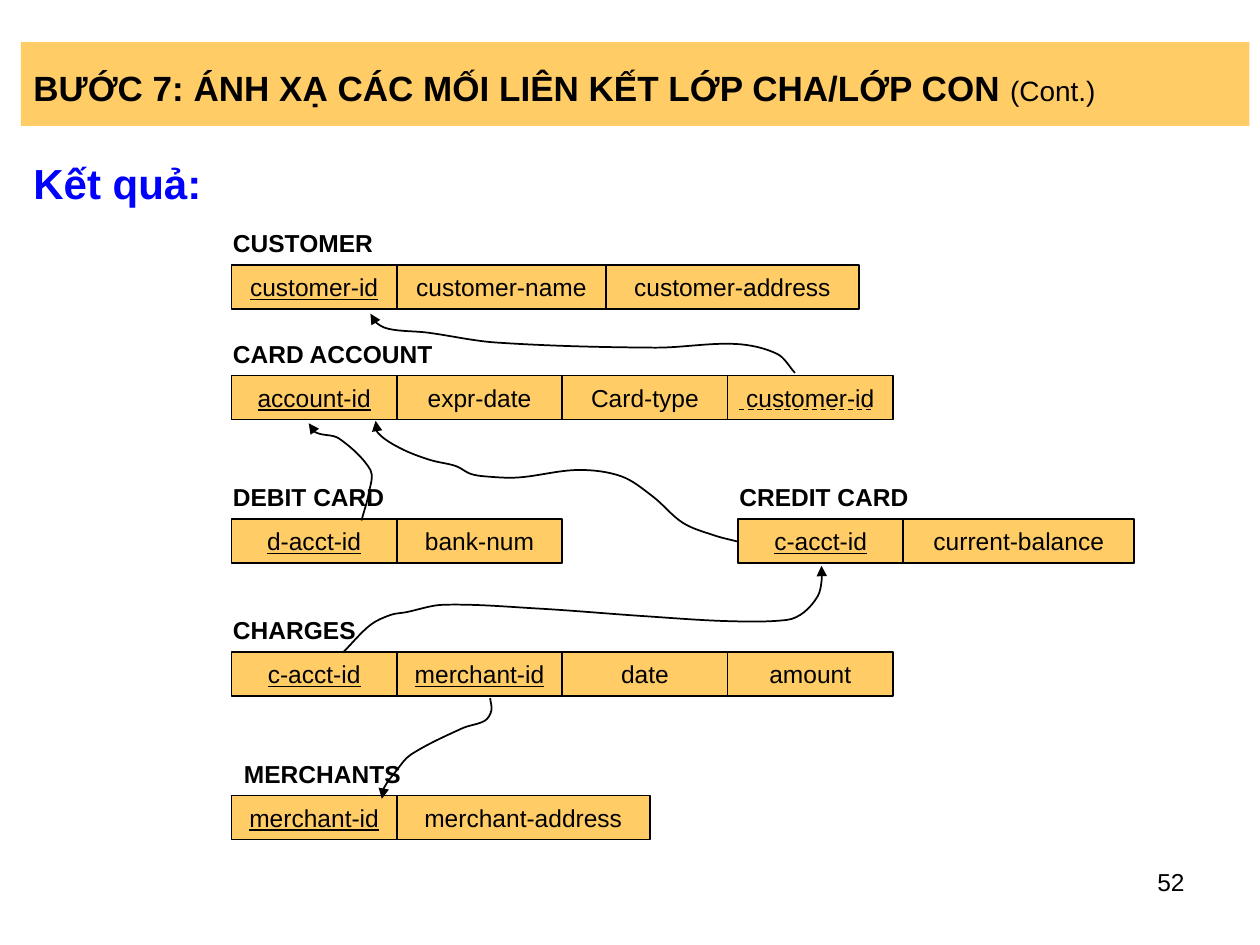
from math import dist

from lxml import etree
from pptx import Presentation
from pptx.dml.color import RGBColor
from pptx.enum.dml import MSO_LINE
from pptx.enum.shapes import MSO_CONNECTOR, MSO_SHAPE
from pptx.enum.text import MSO_ANCHOR, PP_ALIGN
from pptx.oxml.ns import qn
from pptx.util import Pt

RECT = MSO_SHAPE.RECTANGLE
STRAIGHT = MSO_CONNECTOR.STRAIGHT
DASH = MSO_LINE.DASH
TOP, MIDDLE = MSO_ANCHOR.TOP, MSO_ANCHOR.MIDDLE
LEFT, CENTER, RIGHT = PP_ALIGN.LEFT, PP_ALIGN.CENTER, PP_ALIGN.RIGHT

THEME = {
    "font": "Arial",
    "ink": RGBColor(0, 0, 0),
    "gold": RGBColor(0xFF, 0xCC, 0x66),
    "blue": RGBColor(0, 0, 0xFF),
    "title": 20, "cont": 16, "head": 24, "body": 14,
    "line": 1, "dash": 0.75,
}

TITLE = "BƯỚC 7: ÁNH XẠ CÁC MỐI LIÊN KẾT LỚP CHA/LỚP CON "
CONT = "(Cont.)"
HEAD = "Kết quả:"
PAGE = "52"

# Cell widths, label width, row height, left edges and label shift
COL, NAME, BALANCE, ADDRESS = 94.5, 119.5, 132, 144.5
LABEL = 135
ROW = 25.2
MAIN, SIDE = 132.3, 421.7
SHIFT = -6.3

# name, left, top, label shift, number of key cells, cells (text, width)
TABLES = [
    ("CUSTOMER", MAIN, 151.4, SHIFT, 1,
     [("customer-id", COL), ("customer-name", NAME),
      ("customer-address", ADDRESS)]),
    ("CARD ACCOUNT", MAIN, 214.6, SHIFT, 1,
     [("account-id", COL), ("expr-date", COL), ("Card-type", COL),
      ("customer-id", COL)]),
    ("DEBIT CARD", MAIN, 296.6, SHIFT, 1,
     [("d-acct-id", COL), ("bank-num", COL)]),
    ("CREDIT CARD", SIDE, 296.6, SHIFT, 1,
     [("c-acct-id", COL), ("current-balance", BALANCE)]),
    ("CHARGES", MAIN, 372.6, SHIFT, 2,
     [("c-acct-id", COL), ("merchant-id", COL), ("date", COL),
      ("amount", COL)]),
    ("MERCHANTS", MAIN, 454.6, 0, 1,
     [("merchant-id", COL), ("merchant-address", ADDRESS)]),
]

# Points each link runs through, from foreign key to the key it refers to
LINKS = {
    "account to customer": [
        (454.3, 213.1), (444.2, 202.3), (420.5, 196.6), (374.4, 198.7),
        (283.7, 195.8), (244.1, 190.1), (221.8, 187.9), (213.1, 182.9),
        (211.7, 179.3)],
    "debit to account": [
        (206.6, 297.4), (211, 280.8), (211.7, 268.6), (193.7, 250.6),
        (180.6, 247.2), (176.4, 241.9)],
    "credit to account": [
        (421.9, 309.6), (408.2, 306), (390.2, 298.8), (373, 283.7),
        (355, 272.2), (330.5, 268.6), (295.9, 272.9), (276.5, 272.2),
        (268.6, 270.7), (260.6, 266.4), (245.5, 262.8), (229, 256.3),
        (216.3, 247.7), (214.6, 240.5)],
    "charges to credit": [
        (196.6, 372.2), (211.7, 357.1), (223.2, 351.4), (231.8, 349.9),
        (253.4, 345.6), (308.2, 347.8), (367.9, 352.1), (417.6, 355),
        (450, 354.2), (459.4, 349.9), (467.3, 340.6), (469.4, 332.4),
        (469.4, 323.3)],
    "charges to merchants": [
        (280.1, 398.9), (280.8, 406.1), (277.2, 411.8), (264.2, 416.2),
        (234.7, 431.3), (226.4, 440.6), (219.6, 450), (218.2, 456.5)],
}


def style(run, size, bold=False, color=THEME["ink"], under=False):
    font = run.font
    font.name, font.size, font.bold = THEME["font"], Pt(size), bold
    font.underline = under
    font.color.rgb = color


def write(shape, text, align=LEFT, anchor=MIDDLE, wrap=True, **look):
    """Put one styled line of text in a shape and return its paragraph."""
    frame = shape.text_frame
    frame.text = text
    frame.word_wrap, frame.vertical_anchor = wrap, anchor
    para = frame.paragraphs[0]
    para.alignment = align
    style(para.runs[0], **look)
    return para


def add_box(slide, x, y, wide, high, edge=False):
    box = slide.shapes.add_shape(RECT, Pt(x), Pt(y), Pt(wide), Pt(high))
    box.shadow.inherit = False
    box.fill.solid()
    box.fill.fore_color.rgb = THEME["gold"]
    if edge:
        box.line.color.rgb = THEME["ink"]
        box.line.width = Pt(THEME["line"])
    else:
        box.line.fill.background()
    return box


def add_text(slide, x, y, wide, high, text, **look):
    box = slide.shapes.add_textbox(Pt(x), Pt(y), Pt(wide), Pt(high))
    return write(box, text, **look)


def add_table(slide, name, left, top, shift, keys, cells):
    """Draw a relation as a label above a row of boxes, key cells underlined."""
    add_text(slide, left + shift, top - ROW, LABEL, ROW, name,
             size=THEME["body"], bold=True)
    for i, (text, wide) in enumerate(cells):
        box = add_box(slide, left, top, wide, ROW, edge=True)
        write(box, text, CENTER, wrap=False, size=THEME["body"],
              under=i < keys)
        left += wide


def smooth(knots):
    """Return two Bezier handles and an end point for each pair of knots."""
    slopes = []
    for i in range(len(knots)):
        near = knots[max(i - 1, 0):i + 2]
        span = sum(dist(a, b) for a, b in zip(near, near[1:]))
        slopes.append([(b - a) / span for a, b in zip(near[0], near[-1])])
    spots = []
    for i, (a, b) in enumerate(zip(knots, knots[1:])):
        reach = dist(a, b) / 3
        spots += [tuple(p + reach * s for p, s in zip(a, slopes[i])),
                  tuple(p - reach * s for p, s in zip(b, slopes[i + 1])), b]
    return spots


def add_link(slide, knots):
    """Draw a smooth curve through the knots with an arrowhead at its end."""
    x, y = knots[0]
    pen = slide.shapes.build_freeform(Pt(x), Pt(y))
    pen.add_line_segments([(Pt(a), Pt(b)) for a, b in smooth(knots)],
                          close=False)
    curve = pen.convert_to_shape()
    curve.shadow.inherit = False
    curve.fill.background()
    curve.line.color.rgb = THEME["ink"]
    curve.line.width = Pt(THEME["line"])
    steps = curve.element.xpath(".//a:lnTo")
    track = steps[0].getparent()
    for i in range(0, len(steps), 3):
        bend = etree.SubElement(track, qn("a:cubicBezTo"))
        for step in steps[i:i + 3]:
            bend.append(step[0])
            track.remove(step)
    edge = curve.element.spPr.find(qn("a:ln"))
    etree.SubElement(edge, qn("a:tailEnd"), type="triangle")


def add_dash(slide, x, y, wide):
    """Mark a foreign key with a dashed underline."""
    rule = slide.shapes.add_connector(STRAIGHT, Pt(x), Pt(y),
                                      Pt(x + wide), Pt(y))
    rule.line.color.rgb = THEME["ink"]
    rule.line.width = Pt(THEME["dash"])
    rule.line.dash_style = DASH
    etree.SubElement(rule.element.spPr, qn("a:effectLst"))


def main():
    deck = Presentation()
    deck.slide_width, deck.slide_height = Pt(720), Pt(540)
    slide = deck.slides.add_slide(deck.slide_layouts[6])

    banner = add_box(slide, 12, 24, 702, 48)
    para = write(banner, TITLE, size=THEME["title"], bold=True)
    para.line_spacing = 1.15
    cont = para.add_run()
    cont.text = CONT
    style(cont, THEME["cont"])

    para = add_text(slide, 12, 78, 702, 48, HEAD, size=THEME["head"],
                    bold=True, color=THEME["blue"])
    para.line_spacing = 1.15

    for table in TABLES:
        add_table(slide, *table)
    for knots in LINKS.values():
        add_link(slide, knots)
    add_text(slide, 516, 492, 168, 37.5, PAGE, align=RIGHT, anchor=TOP,
             size=THEME["body"])
    add_dash(slide, 422.5, 234, 75.6)
    deck.save("out.pptx")


if __name__ == "__main__":
    main()
